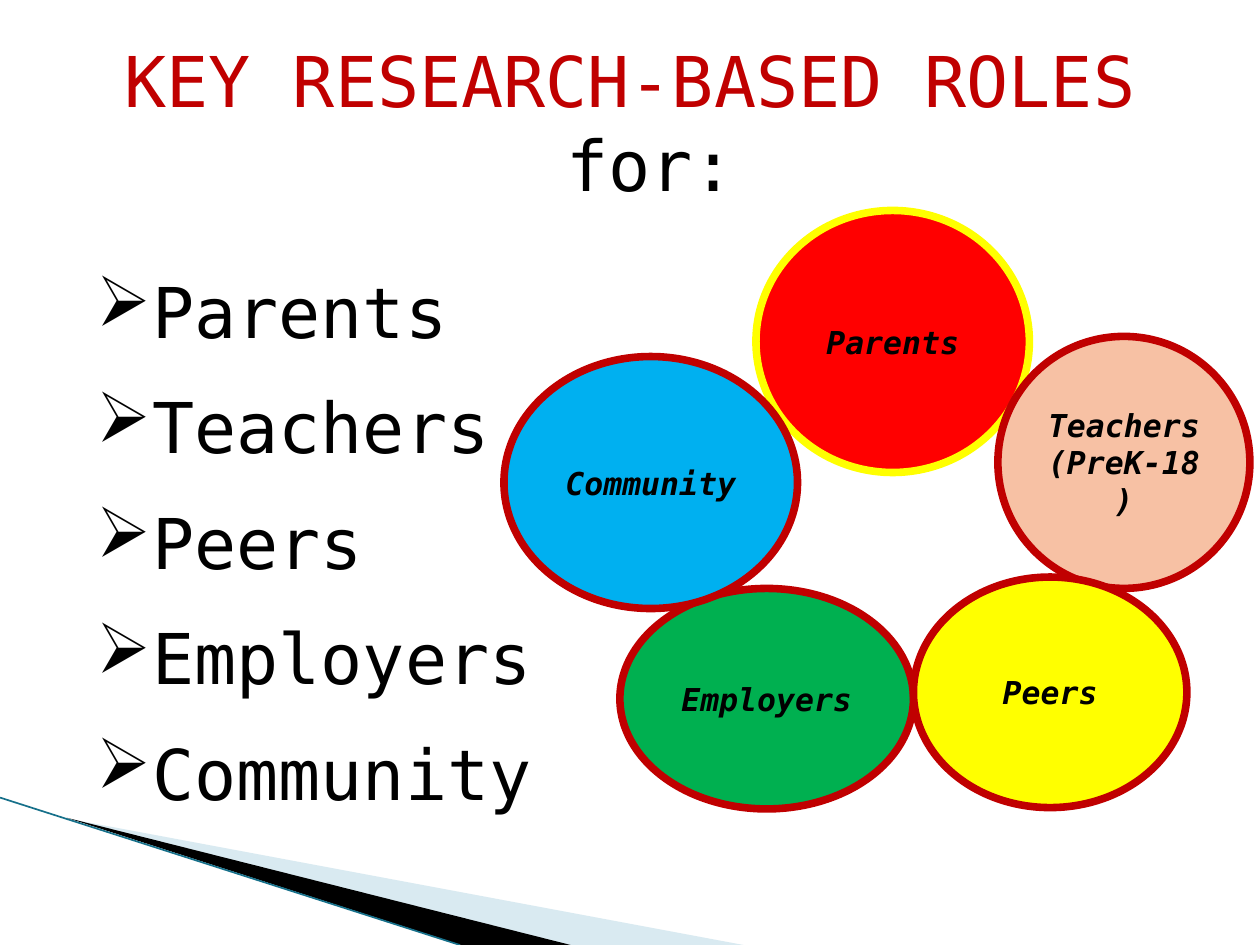
from dataclasses import dataclass

import pptx
import pptx.dml.color
import pptx.enum.shapes
import pptx.enum.text
import pptx.util
from lxml import etree
from pptx.oxml.ns import qn
from pptx.util import Inches

FONT = "DejaVu Sans Mono"
BLACK = "000000"
DARK_RED = "C00000"
YELLOW = "FFFF00"
CENTER = pptx.enum.text.PP_ALIGN.CENTER


@dataclass
class Role:
    lines: list[str]
    left: float
    top: float
    width: float
    height: float
    fill: str
    outline: str = DARK_RED


# Back to front, so that neighbours overlap correctly
ROLES = [
    Role(["Parents"], 6, 1.67, 2.17, 2.08, "FF0000", YELLOW),
    Role(["Teachers", "(PreK-18)"], 7.92, 2.67, 2, 2, "F7C1A4"),
    Role(["Employers"], 4.92, 4.67, 2.33, 1.75, "00B050"),
    Role(["Peers"], 7.25, 4.58, 2.17, 1.83, YELLOW),
    Role(["Community"], 4, 2.83, 2.33, 2, "00B0F0"),
]
ROLE_NAMES = ["Parents", "Teachers", "Peers", "Employers", "Community"]


def color(value: str) -> pptx.dml.color.RGBColor:
    return pptx.dml.color.RGBColor.from_string(value)


def paint(shape, fill: str) -> None:
    shape.shadow.inherit = False
    shape.fill.solid()
    shape.fill.fore_color.rgb = color(fill)


def add_text(para, text: str, *, size: float, ink: str = BLACK,
             bold: bool = False, italic: bool = False, align=None) -> None:
    para.alignment = align
    span = para.add_run()
    span.text = text
    span.font.name = FONT
    span.font.size = pptx.util.Pt(size)
    span.font.bold = bold
    span.font.italic = italic
    span.font.color.rgb = color(ink)


def paragraphs(frame, count: int) -> list:
    return [frame.paragraphs[0]] + [frame.add_paragraph() for _ in range(count - 1)]


def add_wedge(page, points: list[tuple[float, float]], fill: str,
              opacity: int = 100) -> None:
    corners = [(Inches(x), Inches(y)) for x, y in points]
    builder = page.shapes.build_freeform(*corners[0], scale=1.0)
    builder.add_line_segments(corners[1:], close=True)
    wedge = builder.convert_to_shape()
    paint(wedge, fill)
    wedge.line.fill.background()
    if opacity < 100:
        tint = wedge._element.spPr.find(".//" + qn("a:srgbClr"))
        etree.SubElement(tint, qn("a:alpha"), val=str(opacity * 1000))


def add_corner_decoration(page) -> None:
    add_wedge(page, [(0.55, 6.5), (5.9, 7.5), (4.52, 7.5)], "A0CBDC", opacity=40)
    add_wedge(page, [(0.53, 6.49), (4.53, 7.5), (3.66, 7.5)], BLACK)
    edge = page.shapes.add_connector(
        pptx.enum.shapes.MSO_CONNECTOR.STRAIGHT,
        Inches(0), Inches(6.33), Inches(3.65), Inches(7.5))
    edge.line.color.rgb = color("16708A")
    edge.line.width = pptx.util.Pt(0.95)
    etree.SubElement(edge._element.spPr, qn("a:effectLst"))


def add_title(page) -> None:
    box = page.shapes.add_textbox(Inches(0.5), Inches(0.25), Inches(9.33), Inches(1.75))
    box.text_frame.word_wrap = True
    first, second = paragraphs(box.text_frame, 2)
    add_text(first, "KEY RESEARCH-BASED ROLES ", size=40, ink=DARK_RED, align=CENTER)
    add_text(second, "for:", size=40, align=CENTER)


def add_role_list(page) -> None:
    box = page.shapes.add_textbox(Inches(0.67), Inches(2.08), Inches(3.79), Inches(4.49))
    box.text_frame.word_wrap = False
    for para, name in zip(paragraphs(box.text_frame, len(ROLE_NAMES)), ROLE_NAMES):
        para.space_after = pptx.util.Pt(18)
        properties = para._p.get_or_add_pPr()
        etree.SubElement(properties, qn("a:buFont"), typeface="OpenSymbol")
        etree.SubElement(properties, qn("a:buChar"), char="➢")
        add_text(para, name, size=40)


def add_role(page, role: Role) -> None:
    oval = page.shapes.add_shape(
        pptx.enum.shapes.MSO_SHAPE.OVAL, Inches(role.left), Inches(role.top),
        Inches(role.width), Inches(role.height))
    paint(oval, role.fill)
    oval.line.color.rgb = color(role.outline)
    oval.line.width = pptx.util.Pt(4.33)
    frame = oval.text_frame
    frame.word_wrap = True
    frame.vertical_anchor = pptx.enum.text.MSO_ANCHOR.MIDDLE
    for para, line in zip(paragraphs(frame, len(role.lines)), role.lines):
        add_text(para, line, size=18, bold=True, italic=True, align=CENTER)


def main() -> None:
    deck = pptx.Presentation()
    deck.slide_width, deck.slide_height = Inches(10), Inches(7.5)
    page = deck.slides.add_slide(deck.slide_layouts[6])
    add_corner_decoration(page)
    add_role_list(page)
    add_title(page)
    for role in ROLES:
        add_role(page, role)
    deck.save("out.pptx")


if __name__ == "__main__":
    main()
